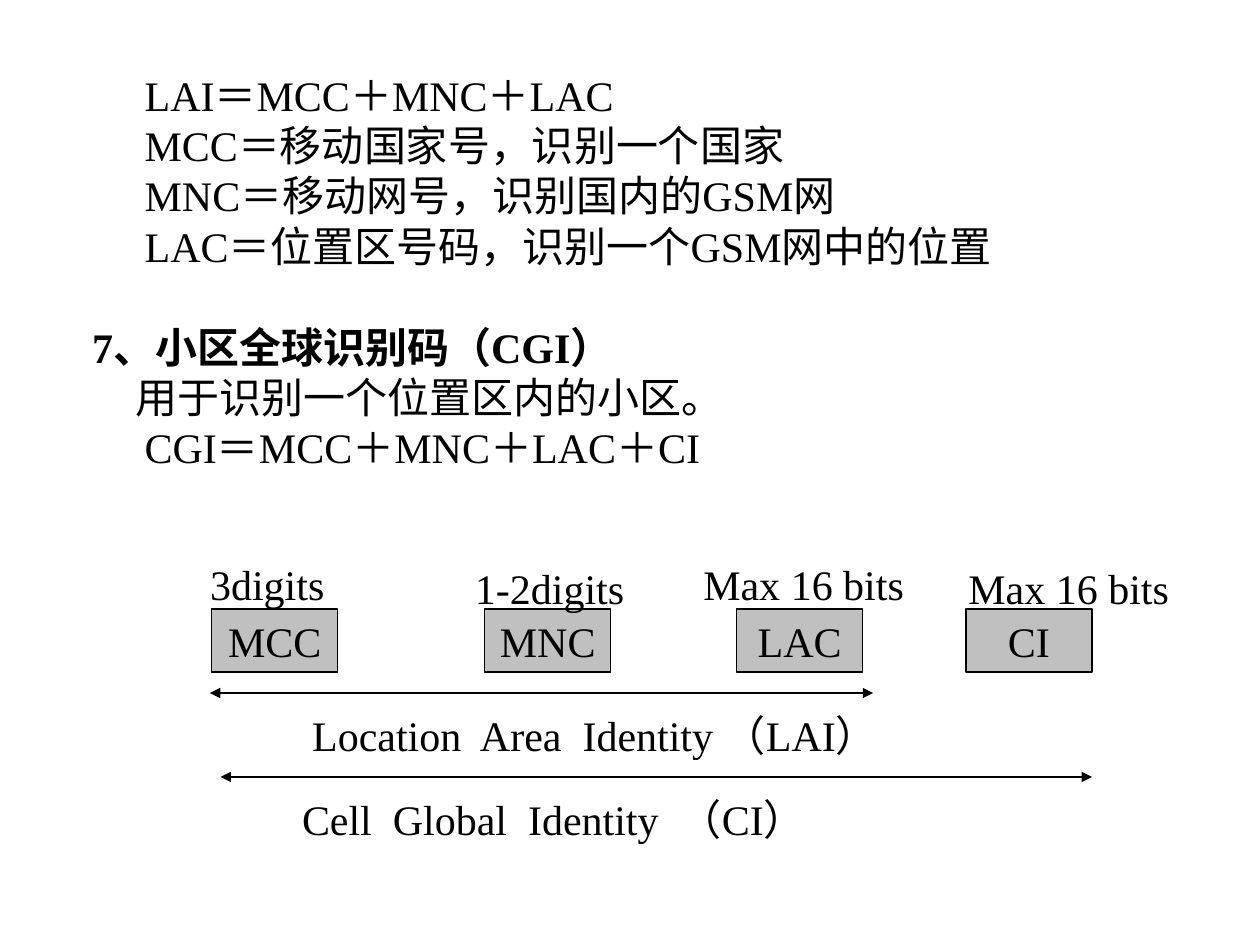
from lxml import etree
from pptx import Presentation
from pptx import util as u
from pptx.dml.color import RGBColor
from pptx.enum import shapes, text
from pptx.oxml.ns import qn

BLACK = RGBColor(0x00, 0x00, 0x00)
GREY = RGBColor(0xC0, 0xC0, 0xC0)
FONT, SIZE = "Times New Roman", 24
LINE_WIDTH = 0.75

# Definitions: text, indent, space before, bold
DEFINITIONS = [
    ("LAI＝MCC＋MNC＋LAC", 36, 0, False),
    ("MCC＝移动国家号，识别一个国家", 36, 0, False),
    ("MNC＝移动网号，识别国内的GSM网", 36, 0, False),
    ("LAC＝位置区号码，识别一个GSM网中的位置", 36, 0, False),
    ("7、小区全球识别码（CGI）", 6, 28.8, True),
    ("用于识别一个位置区内的小区。", 31, 0, False),
    ("CGI＝MCC＋MNC＋LAC＋CI", 36, 0, False),
]
# Code fields: name, left, length note, note left, note top, note width
FIELDS = [
    ("MCC", 121, "3digits", 113, 315.5, 80),
    ("MNC", 277, "1-2digits", 264.3, 318, 99.5),
    ("LAC", 421, "Max 16 bits", 394.8, 315.5, 129),
    ("CI", 552, "Max 16 bits", 546.3, 318, 129),
]
FIELD_TOP, FIELD_WIDTH, FIELD_HEIGHT = 348, 72, 36
# Identities: caption, caption left, caption width, arrow start, arrow end
IDENTITIES = [
    ("Location  Area  Identity （LAI）", 171.3, 356.5, 120, 499),
    ("Cell  Global  Identity  （CI）", 165.5, 319.5, 126, 624),
]
ARROW_TOP, ARROW_STEP, CAPTION_GAP = 396, 48, 6


def write(para, content, bold=False, indent=0, before=0, align=text.PP_ALIGN.LEFT):
    properties = para._p.get_or_add_pPr()
    properties.set("marL", str(u.Pt(indent)))
    properties.set("indent", "0")
    para.alignment = align
    para.space_before = u.Pt(before)
    span = para.add_run()
    span.text = content
    span.font.name, span.font.size, span.font.bold = FONT, u.Pt(SIZE), bold
    span.font.color.rgb = BLACK


def add_text_box(page, left, top, width, height=36):
    box = page.shapes.add_textbox(u.Pt(left), u.Pt(top), u.Pt(width), u.Pt(height))
    box.text_frame.word_wrap = False
    box.text_frame.auto_size = text.MSO_AUTO_SIZE.SHAPE_TO_FIT_TEXT
    return box.text_frame


def add_field(page, name, left):
    box = page.shapes.add_shape(shapes.MSO_SHAPE.RECTANGLE, u.Pt(left), u.Pt(FIELD_TOP),
                                u.Pt(FIELD_WIDTH), u.Pt(FIELD_HEIGHT))
    box.shadow.inherit = False
    box.fill.solid()
    box.fill.fore_color.rgb = GREY
    box.line.color.rgb = BLACK
    box.line.width = u.Pt(LINE_WIDTH)
    frame = box.text_frame
    frame.word_wrap = False
    frame.vertical_anchor = text.MSO_ANCHOR.MIDDLE
    write(frame.paragraphs[0], name, align=text.PP_ALIGN.CENTER)


def add_double_arrow(page, start, end, top):
    arrow = page.shapes.add_connector(shapes.MSO_CONNECTOR.STRAIGHT, u.Pt(start), u.Pt(top),
                                      u.Pt(end), u.Pt(top))
    arrow.line.color.rgb = BLACK
    arrow.line.width = u.Pt(LINE_WIDTH)
    for tag in ("a:headEnd", "a:tailEnd"):
        etree.SubElement(arrow.line._get_or_add_ln(), qn(tag), type="triangle")
    etree.SubElement(arrow._element.spPr, qn("a:effectLst"))


def main():
    deck = Presentation()
    deck.slide_width, deck.slide_height = u.Pt(720), u.Pt(540)
    page = deck.slides.add_slide(deck.slide_layouts[6])

    # Definitions
    frame = add_text_box(page, 39.6, 36, 551.5, 237.6)
    for index, (content, indent, before, bold) in enumerate(DEFINITIONS):
        para = frame.add_paragraph() if index else frame.paragraphs[0]
        write(para, content, bold=bold, indent=indent, before=before)

    # Code fields with their lengths
    for name, left, note, note_left, note_top, note_width in FIELDS:
        add_field(page, name, left)
        write(add_text_box(page, note_left, note_top, note_width).paragraphs[0], note)

    # Spans of the two identities
    for row, (caption, left, width, start, end) in enumerate(IDENTITIES):
        top = ARROW_TOP + row * ARROW_STEP
        add_double_arrow(page, start, end, top)
        write(add_text_box(page, left, top + CAPTION_GAP, width).paragraphs[0], caption)

    deck.save("out.pptx")


if __name__ == "__main__":
    main()
